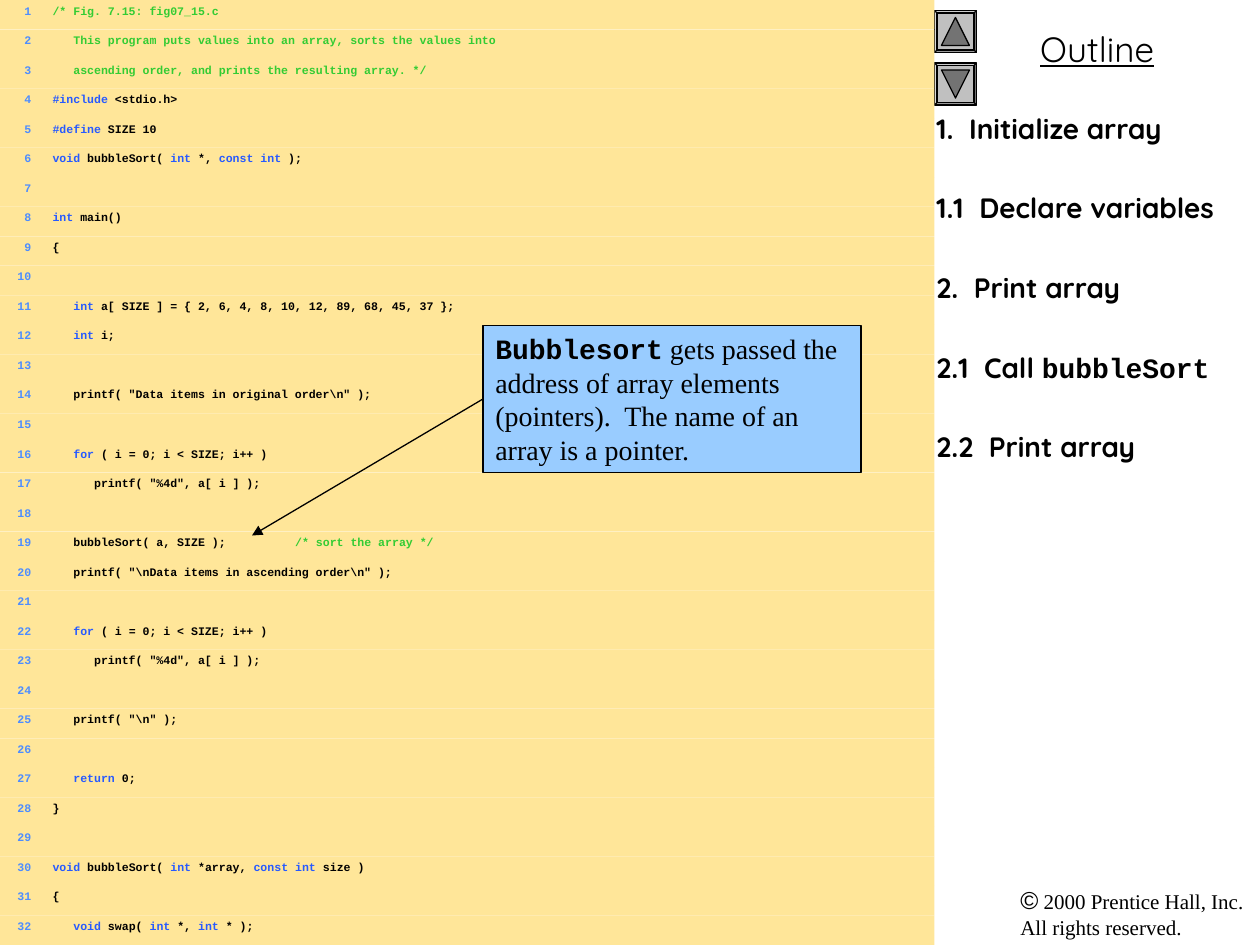
from dataclasses import dataclass

from lxml import etree
from pptx import Presentation
from pptx.dml.color import RGBColor
from pptx.enum.shapes import MSO_CONNECTOR, MSO_SHAPE
from pptx.enum.text import MSO_ANCHOR, PP_ALIGN
from pptx.oxml.ns import qn
from pptx.util import Pt

RECT, BEVEL = MSO_SHAPE.RECTANGLE, MSO_SHAPE.BEVEL
TRIANGLE = MSO_SHAPE.ISOSCELES_TRIANGLE
STRAIGHT = MSO_CONNECTOR.STRAIGHT
TOP, LEFT, CENTER = MSO_ANCHOR.TOP, PP_ALIGN.LEFT, PP_ALIGN.CENTER


@dataclass(frozen=True)
class Theme:
    black: str = "000000"
    code_fill: str = "FFE699"
    number: str = "4D8DFF"
    keyword: str = "275AFF"
    comment: str = "33CC33"
    callout: str = "99CCFF"
    button: str = "C0C0C0"
    arrow: str = "737373"
    head_font: str = "Quicksand"
    code_font: str = "Courier New"
    body_font: str = "Times New Roman"
    sign_font: str = "Arial"
    title_size: float = 20
    item_size: float = 16
    sign_size: float = 14
    small_size: float = 12
    code_size: float = 6.6
    line_width: float = 0.75


T = Theme()
SLIDE_W, SLIDE_H = 720, 540
CODE_W = 534

# Backticks enclose keywords; a tilde starts a comment
CODE = r"""~/* Fig. 7.15: fig07_15.c
   ~This program puts values into an array, sorts the values into
   ~ascending order, and prints the resulting array. */
`#include` <stdio.h>
`#define` SIZE 10
`void` bubbleSort( `int` *, `const int` );

`int` main()
{

   `int` a[ SIZE ] = { 2, 6, 4, 8, 10, 12, 89, 68, 45, 37 };
   `int` i;

   printf( "Data items in original order\n" );

   `for` ( i = 0; i < SIZE; i++ )
      printf( "%4d", a[ i ] );

   bubbleSort( a, SIZE );          ~/* sort the array */
   printf( "\nData items in ascending order\n" );

   `for` ( i = 0; i < SIZE; i++ )
      printf( "%4d", a[ i ] );

   printf( "\n" );

   `return` 0;
}

`void` bubbleSort( `int` *array, `const int` size )
{
   `void` swap( `int` *, `int` * );""".split("\n")

OUTLINE = [
    ("1.  Initialize array", ""),
    ("1.1  Declare variables", ""),
    ("2.  Print array", ""),
    ("2.1  Call ", "bubbleSort"),
    ("2.2  Print array", ""),
]


def add_run(p, text, font, size, color=T.black, bold=False):
    r = p.add_run()
    r.text = text
    r.font.name, r.font.size, r.font.bold = font, Pt(size), bold
    r.font.color.rgb = RGBColor.from_string(color)
    return r


def add_box(s, kind, x, y, w, h, fill, line=None):
    sp = s.shapes.add_shape(kind, Pt(x), Pt(y), Pt(w), Pt(h))
    sp.shadow.inherit = False
    sp.fill.solid()
    sp.fill.fore_color.rgb = RGBColor.from_string(fill)
    if line:
        sp.line.color.rgb = RGBColor.from_string(line)
        sp.line.width = Pt(T.line_width)
    else:
        sp.line.fill.background()
    tf = sp.text_frame
    tf.vertical_anchor = TOP
    tf.paragraphs[0].alignment = LEFT
    return sp


def add_text(s, x, y, w, h, wrap=True):
    tf = s.shapes.add_textbox(Pt(x), Pt(y), Pt(w), Pt(h)).text_frame
    tf.word_wrap = wrap
    return tf


def add_tabs(p, stops):
    tabs = etree.SubElement(p._p.get_or_add_pPr(), qn("a:tabLst"))
    for pos, side in stops:
        etree.SubElement(tabs, qn("a:tab"), pos=str(Pt(pos)), algn=side)


def add_code_line(s, number, line):
    row_h = SLIDE_H / len(CODE)
    sp = add_box(s, RECT, 0, (number - 1) * row_h, CODE_W, row_h, T.code_fill)
    p = sp.text_frame.paragraphs[0]
    p.line_spacing = 0.8
    add_tabs(p, [(10.8, "r"), (23, "l")])
    code, _, comment = line.partition("~")
    pieces = [(f"\t{number}\t", T.number)]
    pieces += [(part, T.keyword if i % 2 else T.black)
               for i, part in enumerate(code.split("`"))]
    pieces.append((comment, T.comment))
    for text, color in pieces:
        if text:
            add_run(p, text, T.code_font, T.code_size, color, True)


def add_button(s, y, rotation):
    frame = add_box(s, BEVEL, CODE_W, y, 24, 24, T.button, T.black)
    frame.adjustments[0] = 0.06
    arrow = add_box(s, TRIANGLE, CODE_W + 4, y + 4, 16, 16, T.arrow, T.black)
    arrow.rotation = rotation


def add_outline(s):
    p = add_text(s, CODE_W, 12, SLIDE_W - CODE_W, 32).paragraphs[0]
    p.alignment = CENTER
    add_run(p, "Outline", T.head_font, T.title_size).font.underline = True

    tf = add_text(s, 528, 60, 192, 480)
    for i, (text, code) in enumerate(OUTLINE):
        p = tf.add_paragraph() if i else tf.paragraphs[0]
        if i:
            p.space_before = Pt(26.3)
        add_run(p, text, T.head_font, T.item_size, bold=True)
        if code:
            add_run(p, code, T.code_font, T.item_size, bold=True)


def add_copyright(s):
    p = add_text(s, 576, 502, 144, 38, wrap=False).paragraphs[0]
    add_run(p, "©", T.sign_font, T.sign_size)
    add_run(p, " 2000 Prentice Hall, Inc.", T.body_font, T.small_size)
    p.add_line_break()
    add_run(p, "All rights reserved.", T.body_font, T.small_size)


def add_callout(s):
    box = add_box(s, RECT, 276, 186, 216, 84, T.callout, T.black)
    p = box.text_frame.paragraphs[0]
    add_run(p, "Bubblesort", T.code_font, T.item_size, bold=True)
    add_run(p, " gets passed the address of array elements (pointers).  "
            "The name of an array is a pointer.", T.body_font, T.item_size)

    arrow = s.shapes.add_connector(STRAIGHT, Pt(276), Pt(228), Pt(144), Pt(306))
    arrow.begin_connect(box, 1)
    arrow.line.color.rgb = RGBColor.from_string(T.black)
    arrow.line.width = Pt(T.line_width)
    etree.SubElement(arrow.line._get_or_add_ln(), qn("a:tailEnd"), type="triangle")
    etree.SubElement(arrow._element.spPr, qn("a:effectLst"))


def main():
    prs = Presentation()
    prs.slide_width, prs.slide_height = Pt(SLIDE_W), Pt(SLIDE_H)
    s = prs.slides.add_slide(prs.slide_layouts[6])

    # Side column
    add_outline(s)
    add_button(s, 6, 0)
    add_button(s, 36, 180)
    add_copyright(s)

    # Program listing with its callout
    for number, line in enumerate(CODE, 1):
        add_code_line(s, number, line)
    add_callout(s)

    prs.save("out.pptx")


if __name__ == "__main__":
    main()
